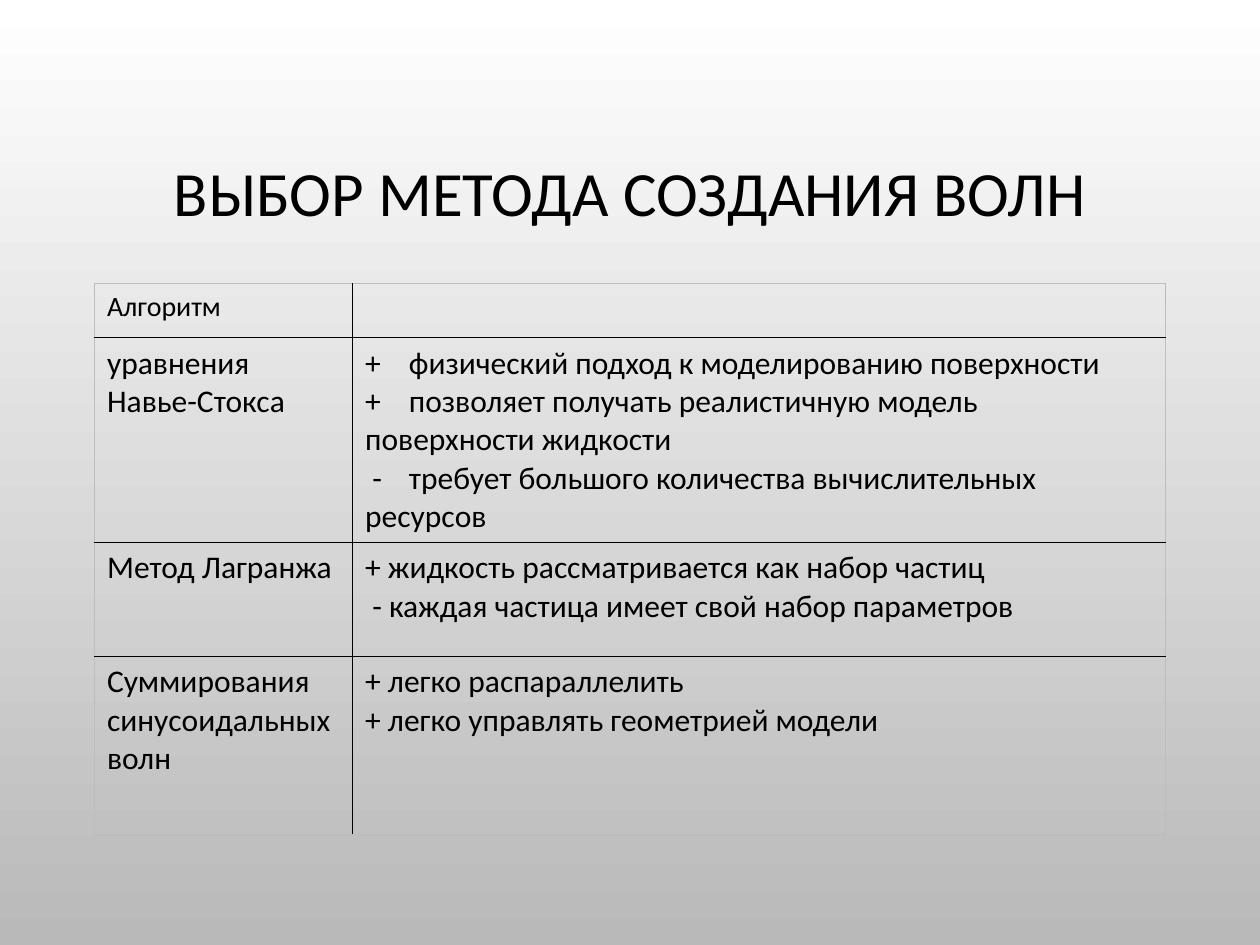
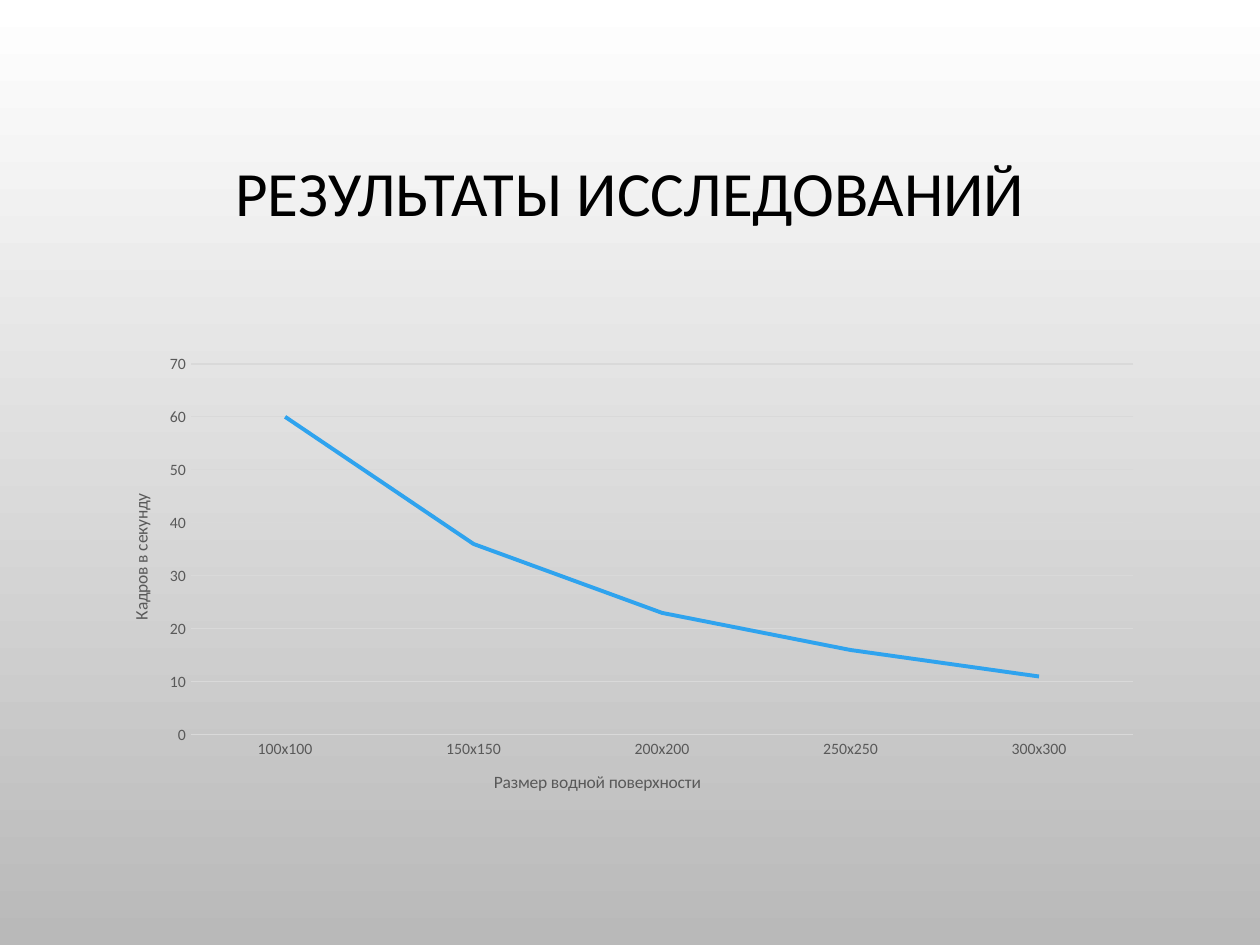
from lxml.etree import SubElement
from pptx import Presentation
from pptx.chart.data import CategoryChartData
from pptx.dml.color import RGBColor
from pptx.enum.chart import XL_CHART_TYPE, XL_TICK_MARK
from pptx.enum.text import MSO_ANCHOR, MSO_AUTO_SIZE, PP_ALIGN
from pptx.oxml.ns import qn
from pptx.util import Pt

FONT = "Calibri"
COLORS = {
    "text": "000000", "bg_top": "FFFFFF", "bg_bottom": "B9B9B9",
    "frame": "BDBDBD", "axis_text": "595959", "grid": "D9D9D9", "series": "2FA3EE",
}
RGB = {name: RGBColor.from_string(value) for name, value in COLORS.items()}
LEFT, WIDTH = Pt(54), Pt(612)
NO_STYLE = "{2D5ABB26-0587-4C30-8999-92F81FD0307C}"


def add_titled_slide(title):
    slide = prs.slides.add_slide(prs.slide_layouts[5])
    sp = slide.shapes.title
    sp.left, sp.top, sp.width, sp.height = LEFT, Pt(49), WIDTH, Pt(126)
    tf = sp.text_frame
    tf.text = title
    tf.auto_size = MSO_AUTO_SIZE.NONE
    tf.vertical_anchor = MSO_ANCHOR.MIDDLE
    p = tf.paragraphs[0]
    p.alignment, p.line_spacing = PP_ALIGN.CENTER, 0.9
    p.font.name, p.font.size, p.font.color.rgb = FONT, Pt(36), RGB["text"]
    return slide


def set_layout(parent, index, **values):
    """Place a chart part by fractions of the chart area."""
    for old in parent.findall(qn("c:layout")):
        parent.remove(old)
    layout = SubElement(parent, qn("c:layout"))
    parent.insert(index, layout)
    manual = SubElement(layout, qn("c:manualLayout"))
    for tag, value in values.items():
        SubElement(manual, qn("c:" + tag)).set("val", str(value))


prs = Presentation()
prs.slide_width, prs.slide_height = Pt(720), Pt(540)

# Shared background
fill = prs.slide_master.background.fill
fill.gradient()
fill.gradient_angle = 270
for stop, position, name in zip(fill.gradient_stops, (0, 1), ("bg_top", "bg_bottom")):
    stop.position, stop.color.rgb = position, RGB[name]

# Slide 1: comparison of methods
slide = add_titled_slide("ВЫБОР МЕТОДА СОЗДАНИЯ ВОЛН")
rows = [
    ("Алгоритм", ""),
    ("уравнения Навье-Стокса",
     "+\tфизический подход к моделированию поверхности\n"
     "+\tпозволяет получать реалистичную модель поверхности жидкости\n"
     " -\tтребует большого количества вычислительных ресурсов"),
    ("Метод Лагранжа",
     "+ жидкость рассматривается как набор частиц\n"
     " - каждая частица имеет свой набор параметров"),
    ("Суммирования синусоидальных волн",
     "+ легко распараллелить\n+ легко управлять геометрией модели"),
]
col_widths = [147.5, 464.5]
row_heights = [31, 105, 65, 102]
frame = slide.shapes.add_table(len(rows), 2, LEFT, Pt(162), WIDTH, Pt(sum(row_heights)))
table = frame.table
table.first_row = table.horz_banding = False
table._tbl.tblPr.find(qn("a:tableStyleId")).text = NO_STYLE
for column, width in zip(table.columns, col_widths):
    column.width = Pt(width)

last_row, last_col = len(rows) - 1, len(col_widths) - 1
for i, texts in enumerate(rows):
    table.rows[i].height = Pt(row_heights[i])
    for j, text in enumerate(texts):
        cell = table.cell(i, j)
        cell.text = text
        for p in cell.text_frame.paragraphs:
            p.font.name, p.font.color.rgb = FONT, RGB["text"]
            p.font.size = Pt(16 if i == 0 else 18)
            if "\t" in p.text:
                tabs = SubElement(p._p.pPr, qn("a:tabLst"))
                p._p.pPr.insert(0, tabs)
                SubElement(tabs, qn("a:tab"), pos=str(Pt(25)), algn="l")
        outer_sides = {"lnL": j == 0, "lnR": j == last_col, "lnT": i == 0, "lnB": i == last_row}
        tcPr = cell._tc.get_or_add_tcPr()
        for side, is_outer in outer_sides.items():
            ln = SubElement(tcPr, qn("a:" + side), w=str(Pt(1)))
            solid = SubElement(ln, qn("a:solidFill"))
            SubElement(solid, qn("a:srgbClr"), val=COLORS["frame" if is_outer else "text"])
        cell.fill.background()

# Slide 2: frame rate by surface size
slide = add_titled_slide("РЕЗУЛЬТАТЫ ИССЛЕДОВАНИЙ")
data = CategoryChartData()
data.categories = [f"{size}x{size}" for size in range(100, 301, 50)]
data.add_series("Series 1", (60, 36, 23, 16, 11))
chart = slide.shapes.add_chart(
    XL_CHART_TYPE.LINE, LEFT, Pt(186.5), WIDTH, Pt(269.5), data).chart
chart.has_title = chart.has_legend = False
chart.font.name, chart.font.size, chart.font.color.rgb = FONT, Pt(10), RGB["text"]
set_layout(chart._chartSpace.chart.plotArea, 0, layoutTarget="inner", xMode="edge",
           yMode="edge", x=0.09, y=0.08, w=0.88, h=0.79)

axes = [
    (chart.category_axis, "Размер водной поверхности", 0.37, 0.94),
    (chart.value_axis, "Кадров в секунду", 0.03, 0.35),
]
for axis, title, x, y in axes:
    axis.major_tick_mark = axis.minor_tick_mark = XL_TICK_MARK.NONE
    font = axis.tick_labels.font
    font.name, font.size, font.color.rgb = FONT, Pt(9), RGB["axis_text"]
    tf = axis.axis_title.text_frame
    tf.text = title
    font = tf.paragraphs[0].font
    font.name, font.size, font.bold = FONT, Pt(10), False
    font.color.rgb = RGB["axis_text"]
    set_layout(axis.axis_title._element, 1, xMode="edge", yMode="edge", x=x, y=y)

chart.value_axis.minimum_scale, chart.value_axis.maximum_scale = 0, 70
chart.value_axis.major_unit = 10
chart.value_axis.format.line.fill.background()
for line in (chart.category_axis.format.line, chart.value_axis.major_gridlines.format.line):
    line.width, line.color.rgb = Pt(0.75), RGB["grid"]

chart.plots[0].vary_by_categories = False
series = chart.plots[0].series[0]
series.smooth = False
series.format.line.width, series.format.line.color.rgb = Pt(2.25), RGB["series"]

prs.save("out.pptx")
